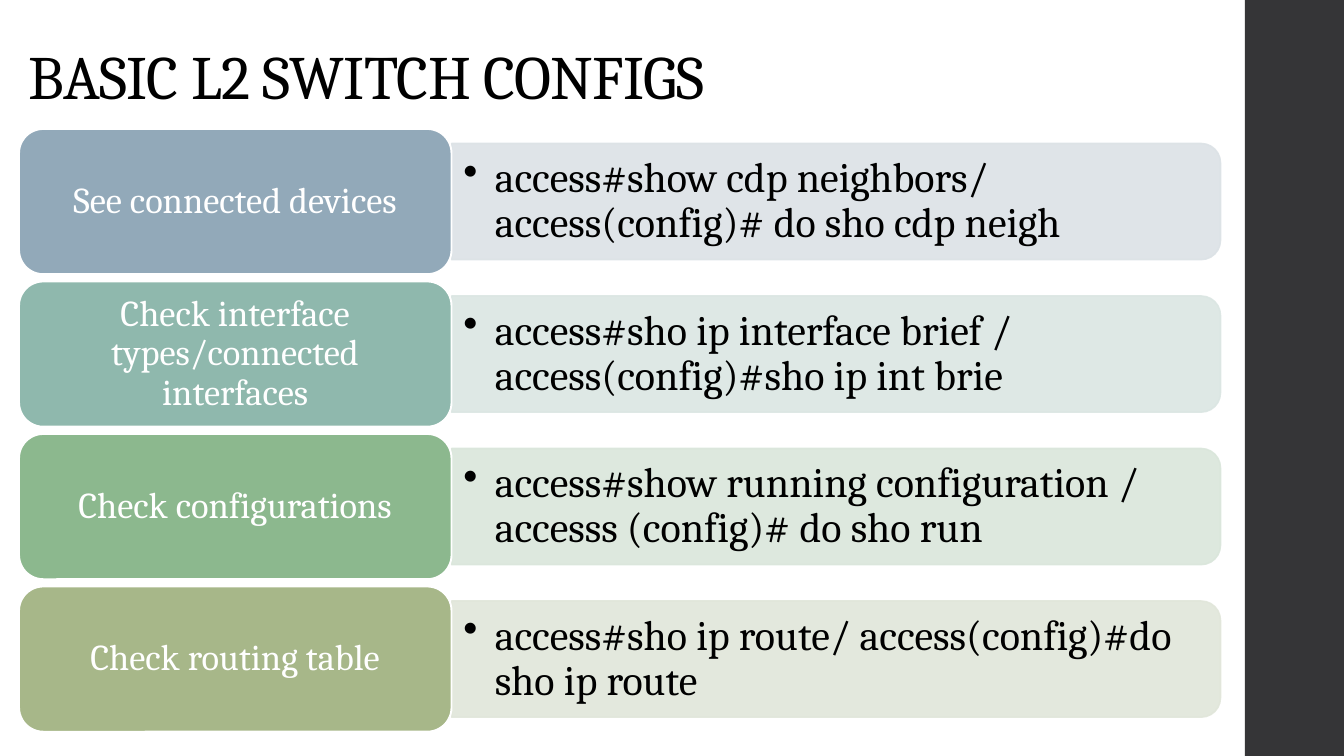
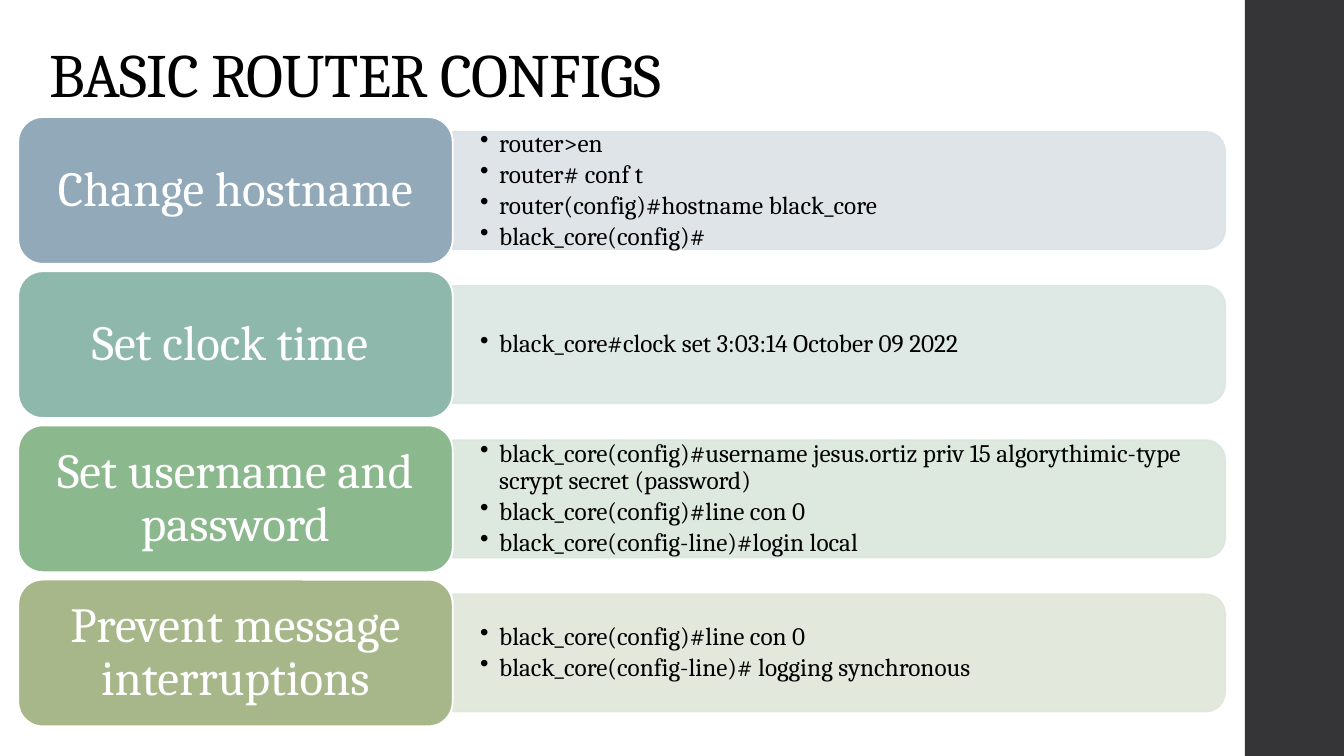
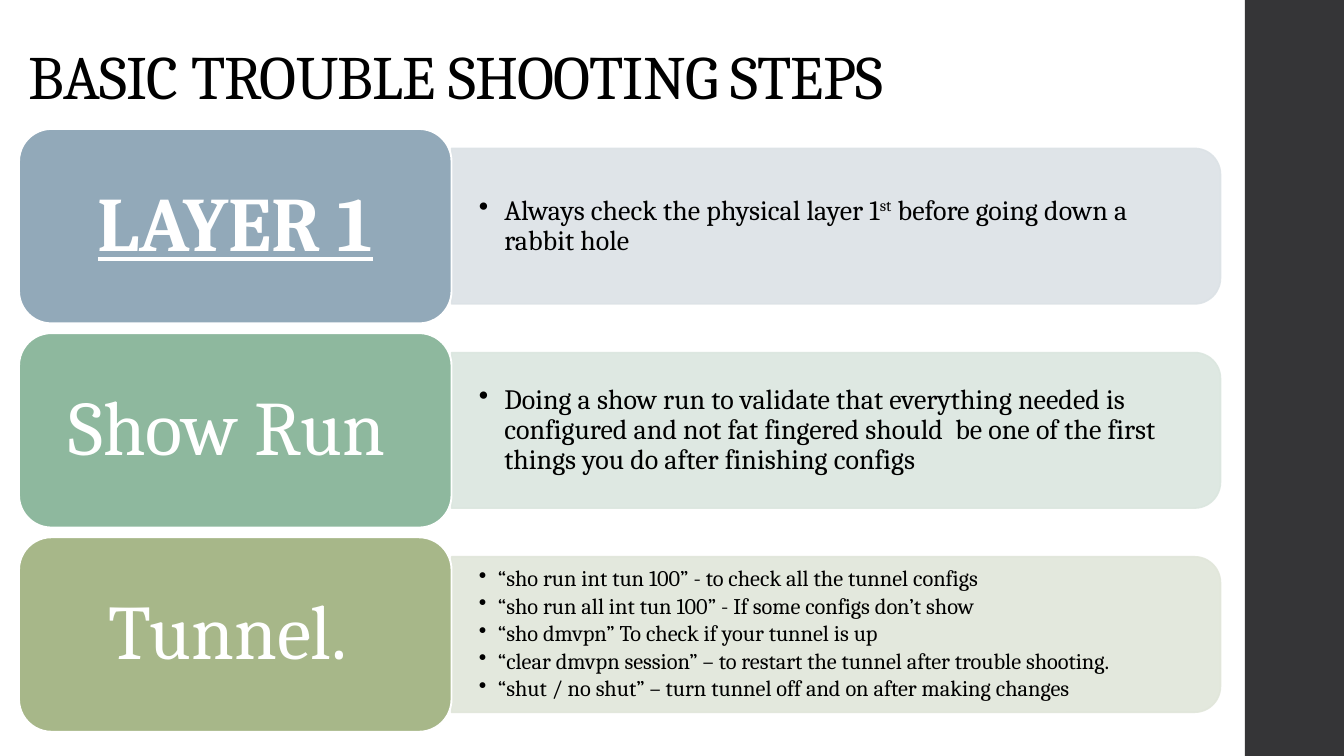
import pptx
import pptx.util
import pptx.dml.color
import pptx.enum.shapes
import pptx.enum.text
import pptx.oxml.ns
from lxml import etree

Cm, Pt = pptx.util.Cm, pptx.util.Pt
RGBColor = pptx.dml.color.RGBColor
MSO_SHAPE = pptx.enum.shapes.MSO_SHAPE
MSO_ANCHOR = pptx.enum.text.MSO_ANCHOR
PP_ALIGN = pptx.enum.text.PP_ALIGN
qn = pptx.oxml.ns.qn

# Colours
BLACK = RGBColor(0x00, 0x00, 0x00)
WHITE = RGBColor(0xFF, 0xFF, 0xFF)
CHARCOAL = RGBColor(0x35, 0x35, 0x37)
BLUE, BLUE_TINT = RGBColor(0x92, 0xA9, 0xB9), RGBColor(0xDC, 0xE2, 0xE6)
TEAL, TEAL_TINT = RGBColor(0x8F, 0xB8, 0xAD), RGBColor(0xDB, 0xE6, 0xE3)
GREEN, GREEN_TINT = RGBColor(0x8C, 0xB8, 0x8E), RGBColor(0xDA, 0xE6, 0xDB)
SAGE, SAGE_TINT = RGBColor(0x8E, 0xB8, 0x9E), RGBColor(0xDB, 0xE6, 0xDF)
OLIVE, OLIVE_TINT = RGBColor(0xA7, 0xB7, 0x89), RGBColor(0xE1, 0xE6, 0xDA)
FOUR_ROWS = [(BLUE, BLUE_TINT), (TEAL, TEAL_TINT), (GREEN, GREEN_TINT), (OLIVE, OLIVE_TINT)]
THREE_ROWS = [(BLUE, BLUE_TINT), (SAGE, SAGE_TINT), (OLIVE, OLIVE_TINT)]

# Hanging indent in cm for each bullet text size
INDENTS = {30: 0.79, 20: 0.64, 18: 0.48, 16: 0.48}


class Deck:
    FONT = "Cambria"
    WIDTH, HEIGHT = 33.87, 19.05
    SIDEBAR_LEFT = 31.37

    def __init__(self):
        self.prs = pptx.Presentation()
        self.prs.slide_width = Cm(self.WIDTH)
        self.prs.slide_height = Cm(self.HEIGHT)

    def new_slide(self, title, left, top, width=26.92):
        self.s = self.prs.slides.add_slide(self.prs.slide_layouts[6])
        self.shape(MSO_SHAPE.RECTANGLE, self.SIDEBAR_LEFT, 0,
                   self.WIDTH - self.SIDEBAR_LEFT, self.HEIGHT, CHARCOAL)
        tf = self.text_box(left, top, width, 3.68, MSO_ANCHOR.BOTTOM)
        p = self.style(tf.paragraphs[0], 44, BLACK, 6)
        r = p.add_run()
        r.text = title
        r._r.get_or_add_rPr().set("spc", "-50")

    def shape(self, kind, left, top, width, height, fill, line=None, line_width=0):
        sp = self.s.shapes.add_shape(kind, Cm(left), Cm(top), Cm(width), Cm(height))
        sp.shadow.inherit = False
        sp.fill.solid()
        sp.fill.fore_color.rgb = fill
        if line is None:
            sp.line.fill.background()
        else:
            sp.line.color.rgb = line
            sp.line.width = Pt(line_width)
        return sp

    def text_box(self, left, top, width, height, anchor):
        tf = self.s.shapes.add_textbox(Cm(left), Cm(top), Cm(width), Cm(height)).text_frame
        tf.word_wrap = True
        tf.vertical_anchor = anchor
        return tf

    def insets(self, tf, side):
        tf.margin_left = tf.margin_right = side
        tf.margin_top = tf.margin_bottom = int(side / 2)

    def style(self, p, size, color, after):
        p.font.name, p.font.size, p.font.color.rgb = self.FONT, Pt(size), color
        p.line_spacing, p.space_after = 0.9, Pt(after)
        return p

    def label(self, left, top, width, height, fill, text, size, strong):
        sp = self.shape(MSO_SHAPE.ROUNDED_RECTANGLE, left, top, width, height, fill, WHITE, 1.35)
        tf = sp.text_frame
        tf.word_wrap = True
        tf.vertical_anchor = MSO_ANCHOR.MIDDLE
        self.insets(tf, Pt(0.3 * size))
        p = self.style(tf.paragraphs[0], size, WHITE, 0)
        p.text = text
        p.alignment = PP_ALIGN.CENTER
        if strong:
            p.font.bold = p.font.underline = True

    def panel(self, left, top, width, height, tint):
        # Turned a quarter so that the rounded corners face right
        sp = self.shape(MSO_SHAPE.ROUND_2_SAME_RECTANGLE, left + (width - height) / 2,
                        top + (height - width) / 2, height, width, tint, tint, 1.1)
        sp.rotation = 90
        for clr in sp._element.spPr.iter(qn("a:srgbClr")):
            etree.SubElement(clr, qn("a:alpha"), val="90000")

    def bullets(self, left, top, width, height, lines, size, inset):
        corner = 0.05 * height
        tf = self.text_box(left, top + corner, width - corner, height - 2 * corner,
                           MSO_ANCHOR.MIDDLE)
        self.insets(tf, Cm(inset))
        for i, line in enumerate(lines):
            p = tf.paragraphs[0] if i == 0 else tf.add_paragraph()
            self.style(p, size, BLACK, 0.15 * size)
            indent = Cm(INDENTS[size])
            pPr = p._p.get_or_add_pPr()
            pPr.set("marL", str(indent))
            pPr.set("indent", str(-indent))
            bullet = etree.Element(qn("a:buChar"), char="•")
            pPr.find(qn("a:defRPr")).addprevious(bullet)
            # Text between carets is superscript
            for j, part in enumerate(line.split("^")):
                r = p.add_run()
                r.text = part
                if j % 2:
                    r._r.get_or_add_rPr().set("baseline", "30000")

    def rows(self, left, top, width, height, colors, label_size, inset, rows, strong=None):
        panel_left, panel_width, panel_height = left + width, width * 16 / 9, 0.8 * height
        for i, ((fill, tint), (text, size, lines)) in enumerate(zip(colors, rows)):
            y = top + i * 1.05 * height
            area = (panel_left, y + 0.1 * height, panel_width, panel_height)
            self.panel(*area, tint)
            self.bullets(*area, lines, size, inset)
            self.label(left, y, width, height, fill, text, label_size, text == strong)


def main():
    deck = Deck()

    # Switch commands
    deck.new_slide("BASIC L2 SWITCH CONFIGS", 0.48, -0.71)
    deck.rows(0.48, 3.25, 10.9, 3.66, FOUR_ROWS, 26, 0.3, [
        ("See connected devices", 30,
         ["access#show cdp neighbors/ access(config)# do sho cdp neigh"]),
        ("Check interface types/connected interfaces", 30,
         ["access#sho ip interface brief / access(config)#sho ip int brie"]),
        ("Check configurations", 30,
         ["access#show running configuration / accesss (config)# do sho run"]),
        ("Check routing table", 30,
         ["access#sho ip route/ access(config)#do sho ip route"]),
    ])

    # Router commands
    deck.new_slide("BASIC ROUTER CONFIGS", 0.99, -0.76)
    deck.rows(0.46, 2.95, 10.95, 3.7, FOUR_ROWS, 35, 0.69, [
        ("Change hostname", 18,
         ["router>en", "router# conf t", "router(config)#hostname black_core",
          "black_core(config)#"]),
        ("Set clock time ", 18, ["black_core#clock set 3:03:14 October 09 2022"]),
        ("Set username and password", 18,
         ["black_core(config)#username jesus.ortiz priv 15 algorythimic-type "
          "scrypt secret (password)",
          "black_core(config)#line con 0", "black_core(config-line)#login local"]),
        ("Prevent message interruptions", 18,
         ["black_core(config)#line con 0", "black_core(config-line)# logging synchronous"]),
    ])

    # Troubleshooting
    deck.new_slide("BASIC TROUBLE SHOOTING STEPS", 0.48, -0.71, 28.98)
    deck.rows(0.48, 3.25, 10.9, 4.9, THREE_ROWS, 55, 0.69, [
        ("LAYER 1", 20,
         ["Always check the physical layer 1^st^ before going down a rabbit hole"]),
        ("Show Run ", 20,
         ["Doing a show run to validate that everything needed is configured and not "
          "fat fingered should  be one of the first things you do after finishing configs"]),
        ("Tunnel. ", 16,
         ["“sho run int tun 100” - to check all the tunnel configs",
          "“sho run all int tun 100” - If some configs don’t show",
          "“sho dmvpn” To check if your tunnel is up",
          "“clear dmvpn session” – to restart the tunnel after trouble shooting.",
          "“shut / no shut” – turn tunnel off and on after making changes"]),
    ], strong="LAYER 1")

    deck.prs.save("out.pptx")


if __name__ == "__main__":
    main()
